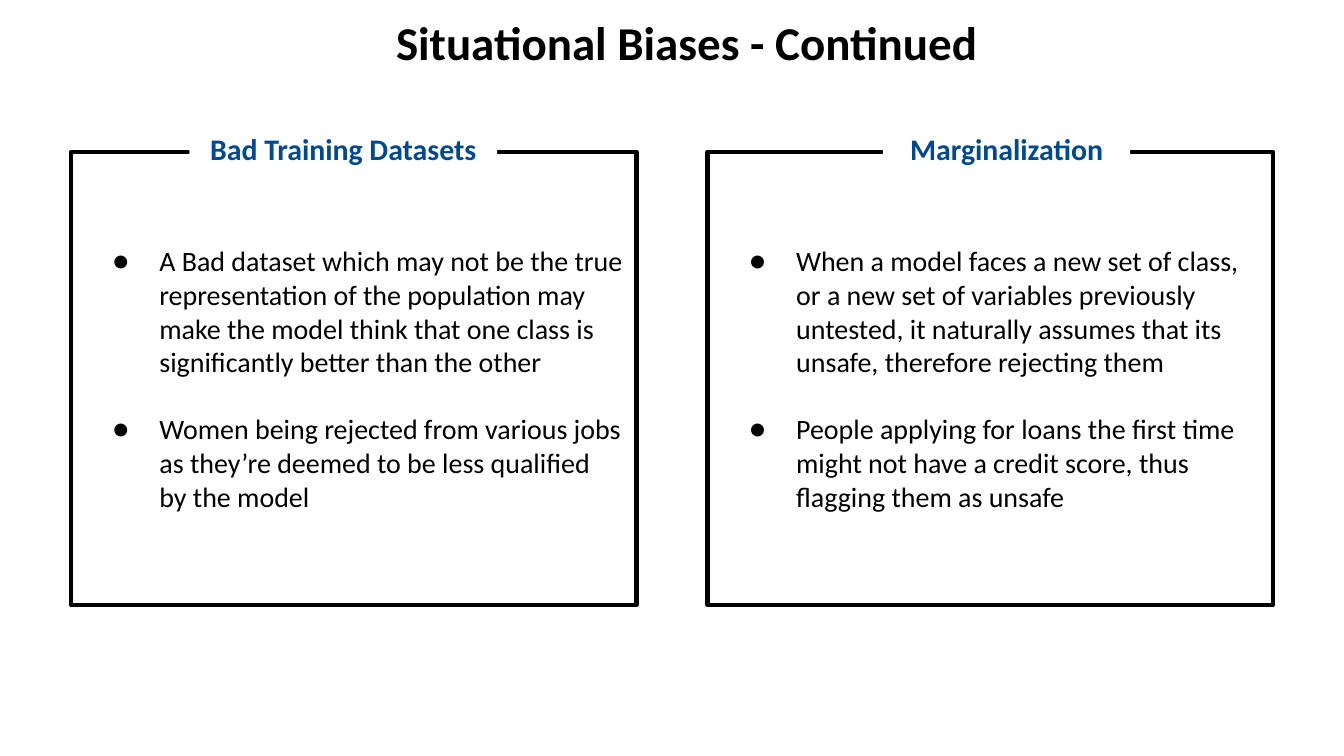
import pptx
import pptx.util
import pptx.dml.color
import pptx.enum.shapes
import pptx.enum.text
import pptx.oxml

PANELS = [
    # heading, heading left and width in columns, bullets
    ("Bad Training Datasets", 14.1, 22.9, [
        "A Bad dataset which may not be the true representation of the population "
        "may make the model think that one class is significantly better than the other",
        "Women being rejected from various jobs as they’re deemed to be less "
        "qualified by the model"]),
    ("Marginalization", 65.7, 18.4, [
        "When a model faces a new set of class, or a new set of variables previously "
        "untested, it naturally assumes that its unsafe, therefore rejecting them",
        "People applying for loans the first time might not have a credit score, "
        "thus flagging them as unsafe"]),
]


def color(value):
    return pptx.dml.color.RGBColor.from_string(value)


class Deck:
    """Style and current slide; positions are on a 100 by 100 grid."""
    FONT, INK, PAPER, ACCENT = "Calibri", "000000", "FFFFFF", "004890"

    def __init__(self, prs):
        self.prs = prs
        self.s = prs.slides.add_slide(prs.slide_layouts[5])

    def area(self, x, y, w, h):
        cw, rh = self.prs.slide_width / 100, self.prs.slide_height / 100
        return [round(v) for v in (x * cw, y * rh, w * cw, h * rh)]

    def format(self, p, size, ink, bold=False, align="CENTER"):
        p.alignment = getattr(pptx.enum.text.PP_ALIGN, align)
        for r in p.runs:
            r.font.name, r.font.bold = self.FONT, bold
            r.font.size = pptx.util.Pt(size)
            r.font.color.rgb = color(ink)

    def insets(self, tf, left, top, right, bottom):
        tf.margin_left, tf.margin_top, tf.margin_right, tf.margin_bottom = (
            pptx.util.Inches(v) for v in (left, top, right, bottom))

    def title(self, text, *cells):
        sp = self.s.shapes.title
        sp.left, sp.top, sp.width, sp.height = self.area(*cells)
        tf = sp.text_frame
        tf.text = text
        tf.vertical_anchor = pptx.enum.text.MSO_ANCHOR.TOP
        self.insets(tf, 0.1, 0.1, 0.1, 0.1)
        self.format(tf.paragraphs[0], 25.2, self.INK, bold=True)

    def box(self, *cells, outlined=False):
        sp = self.s.shapes.add_shape(
            pptx.enum.shapes.MSO_SHAPE.RECTANGLE, *self.area(*cells))
        sp.shadow.inherit = False
        sp.fill.solid()
        sp.fill.fore_color.rgb = color(self.PAPER)
        if outlined:
            sp.line.color.rgb = color(self.INK)
            sp.line.width = pptx.util.Pt(2.25)
        else:
            sp.line.fill.background()
        return sp

    def bullet(self, p):
        pPr = p._p.get_or_add_pPr()
        pPr.set("marL", str(pptx.util.Inches(0.5)))
        pPr.set("indent", str(pptx.util.Inches(-0.35)))
        ns = 'xmlns:a="http://schemas.openxmlformats.org/drawingml/2006/main"'
        for xml in (f'<a:buClr {ns}><a:srgbClr val="{self.INK}"/></a:buClr>',
                    f'<a:buFont {ns} typeface="{self.FONT}"/>',
                    f'<a:buChar {ns} char="●"/>'):
            pPr.append(pptx.oxml.parse_xml(xml))

    def panel(self, bullets, *cells):
        tf = self.box(*cells, outlined=True).text_frame
        tf.word_wrap = True
        tf.vertical_anchor = pptx.enum.text.MSO_ANCHOR.MIDDLE
        self.insets(tf, 0.16, 0.05, 0.1, 0.05)
        tf.text = "\n".join(bullets)
        for i, p in enumerate(tf.paragraphs):
            p.space_before = pptx.util.Pt(18 if i else 0)
            self.format(p, 15, self.INK, align="LEFT")
            self.bullet(p)

    def heading(self, text, *cells):
        tf = self.box(*cells).text_frame
        tf.word_wrap = True
        tf.vertical_anchor = pptx.enum.text.MSO_ANCHOR.TOP
        self.insets(tf, 0.1, 0.05, 0.1, 0.05)
        tf.text = text
        self.format(tf.paragraphs[0], 16, self.ACCENT, bold=True)


def main():
    # Widescreen page, 16 to 9
    prs = pptx.Presentation()
    prs.slide_width = pptx.util.Inches(10)
    prs.slide_height = prs.slide_width * 9 // 16
    deck = Deck(prs)

    # Title
    deck.title("Situational Biases - Continued", 27.7, 0, 46.8, 11.2)

    # Two equal panels, each with a heading breaking its top edge
    margin, width = 5.26, 42.1
    for i, (head, x, w, bullets) in enumerate(PANELS):
        left = margin + i * (100 - 2 * margin - width)
        deck.panel(bullets, left, 20.1, width, 59.9)
        deck.heading(head, x, 16.4, w, 6.6)

    prs.save("out.pptx")


if __name__ == "__main__":
    main()
